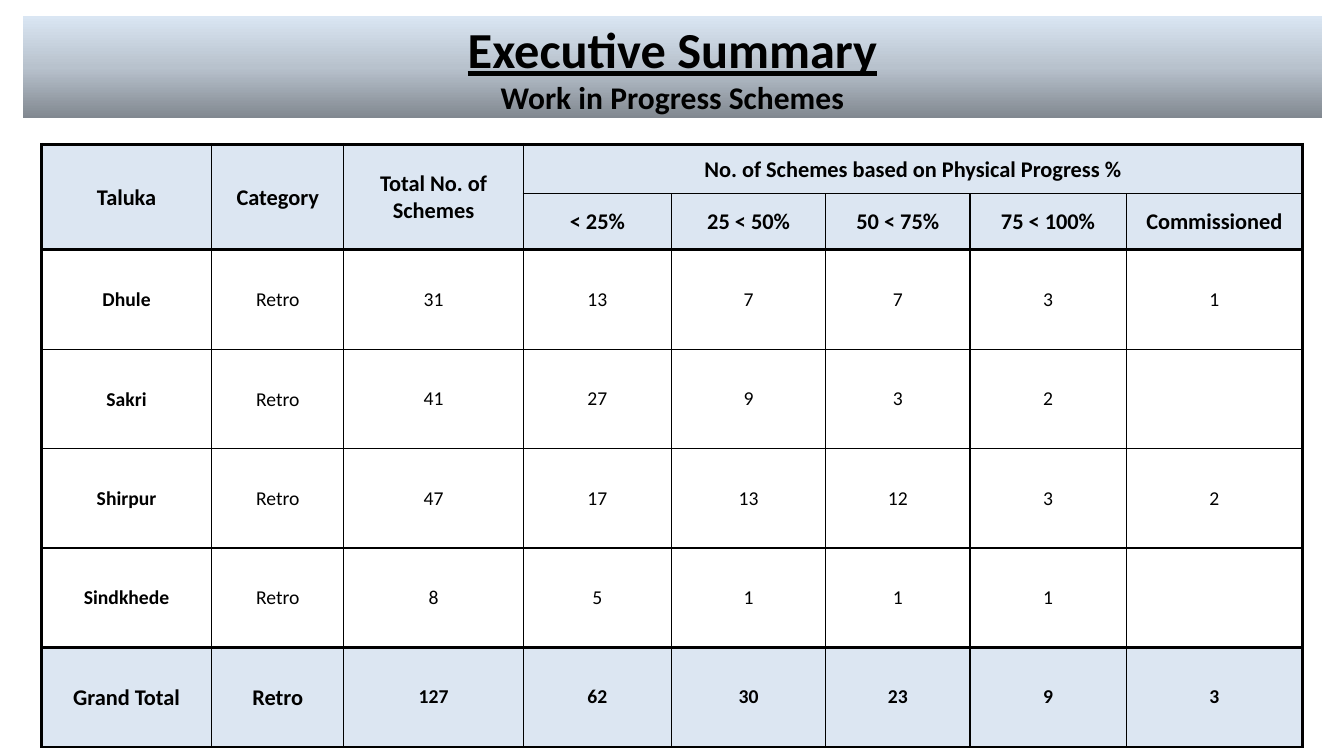
"""Build the executive summary slide on works in progress by taluka."""
from dataclasses import dataclass

from lxml import etree
from pptx import Presentation
from pptx.dml.color import RGBColor
from pptx.enum.shapes import MSO_SHAPE
from pptx.enum.text import MSO_ANCHOR, PP_ALIGN
from pptx.oxml.ns import qn
from pptx.util import Inches, Pt

RECT = MSO_SHAPE.RECTANGLE
MIDDLE = MSO_ANCHOR.MIDDLE
CENTER = PP_ALIGN.CENTER

WIDE, HIGH = Inches(13.33), Inches(7.5)
FONT = "Calibri"
HUES = {"ink": "000000", "head": "DCE6F2",
        "low": "818890", "mid": "B8C2CD", "top": "DAE6F3"}
STOPS = ((0, "low"), (50, "mid"), (100, "top"))

COLS = (1.69, 1.31, 1.78, 1.47, 1.53, 1.43, 1.55, 1.75)
ROWS = (1, 1, 2, 2, 2, 2, 2)
THICK_ROWS = (0, 2, 6, 7)
THICK_COLS = (0, 8)
THICK, THIN = 2.25, 1
DATA = (
    ("Taluka", "Category", "Total No. of Schemes",
     "No. of Schemes based on Physical Progress %", "", "", "", ""),
    ("", "", "", "< 25%", "25 < 50%", "50 < 75%", "75 < 100%", "Commissioned"),
    ("Dhule", "Retro", "31", "13", "7", "7", "3", "1"),
    ("Sakri", "Retro", "41", "27", "9", "3", "2", ""),
    ("Shirpur", "Retro", "47", "17", "13", "12", "3", "2"),
    ("Sindkhede", "Retro", "8", "5", "1", "1", "1", ""),
    ("Grand Total", "Retro", "127", "62", "30", "23", "9", "3"),
)


@dataclass(frozen=True)
class Box:
    left: float
    top: float
    width: float
    height: float

    def place(self) -> tuple:
        """Turn percentages of the slide into lengths."""
        return (int(WIDE * self.left / 100), int(HIGH * self.top / 100),
                int(WIDE * self.width / 100), int(HIGH * self.height / 100))


@dataclass(frozen=True)
class Look:
    size: float
    bold: bool = True
    line: bool = False


BANNER = Box(1.73, 2.13, 96.62, 13.47)
GRID = Box(3.08, 19.07, 93.85, 78.93)
TITLE = (Look(36, line=True), Look(22.5))


def style(font, look: Look) -> None:
    """Apply a look to a font."""
    font.name, font.size = FONT, Pt(look.size)
    font.bold, font.underline = look.bold, look.line
    font.color.rgb = RGBColor.from_string(HUES["ink"])


def add_banner(slide) -> None:
    """Draw the gradient banner with its two lines of text."""
    shape = slide.shapes.add_shape(RECT, *BANNER.place())
    shape.shadow.inherit = False
    shape.line.fill.background()
    shape.fill.gradient()
    shape.fill.gradient_angle = 90
    stops = next(shape.element.iter(qn("a:gsLst")))
    for old in list(stops):
        stops.remove(old)
    for spot, hue in STOPS:
        stop = etree.SubElement(stops, qn("a:gs"), pos=str(spot * 1000))
        etree.SubElement(stop, qn("a:srgbClr"), val=HUES[hue])
    frame = shape.text_frame
    frame.word_wrap = True
    frame.vertical_anchor = MIDDLE
    frame.text = "Executive Summary\vWork in Progress Schemes"
    para = frame.paragraphs[0]
    para.alignment = CENTER
    for run, look in zip(para.runs, TITLE):
        style(run.font, look)


def add_edges(cell, row: int, col: int) -> None:
    """Draw the four borders of a cell, thick on the main rules."""
    end_row = row + (cell.span_height if cell.is_merge_origin else 1)
    end_col = col + (cell.span_width if cell.is_merge_origin else 1)
    edges = (("L", col in THICK_COLS), ("R", end_col in THICK_COLS),
             ("T", row in THICK_ROWS), ("B", end_row in THICK_ROWS))
    props = next(cell._tc.iter(qn("a:tcPr")))
    for spot, (side, thick) in enumerate(edges):
        width = Pt(THICK if thick else THIN)
        line = etree.Element(qn(f"a:ln{side}"), w=str(int(width)))
        fill = etree.SubElement(line, qn("a:solidFill"))
        etree.SubElement(fill, qn("a:srgbClr"), val=HUES["ink"])
        props.insert(spot, line)


def fill_cell(cell, row: int, col: int) -> None:
    """Write and style one cell by its place in the table."""
    head, total = row < 2, row == len(ROWS) - 1
    big = head or (total and col < 2)
    look = Look(16 if big else 14, head or total or col == 0)
    tight = head or col < 2 or (col == len(COLS) - 1 and not total)
    side, over, under = (0.01, 0.01, 0) if tight else (0.03, 0.02, 0.02)
    cell.margin_left = cell.margin_right = Inches(side)
    cell.margin_top, cell.margin_bottom = Inches(over), Inches(under)
    cell.vertical_anchor = MIDDLE
    if head or total:
        cell.fill.solid()
        cell.fill.fore_color.rgb = RGBColor.from_string(HUES["head"])
    else:
        cell.fill.background()
    para = cell.text_frame.paragraphs[0]
    para.text = DATA[row][col]
    para.alignment = CENTER
    for run in para.runs:
        style(run.font, look)
    add_edges(cell, row, col)


def add_grid(slide) -> None:
    """Draw the progress table."""
    place = GRID.place()
    table = slide.shapes.add_table(len(ROWS), len(COLS), *place).table
    table.first_row = table.horz_banding = False
    for item, share in zip(table.columns, COLS):
        item.width = int(place[2] * share / sum(COLS))
    for item, share in zip(table.rows, ROWS):
        item.height = int(place[3] * share / sum(ROWS))
    for col in range(3):
        table.cell(0, col).merge(table.cell(1, col))
    table.cell(0, 3).merge(table.cell(0, len(COLS) - 1))
    for row in range(len(ROWS)):
        for col in range(len(COLS)):
            cell = table.cell(row, col)
            if not cell.is_spanned:
                fill_cell(cell, row, col)


def main() -> None:
    """Build and save the slide."""
    deck = Presentation()
    deck.slide_width, deck.slide_height = WIDE, HIGH
    slide = deck.slides.add_slide(deck.slide_layouts[6])
    add_banner(slide)
    add_grid(slide)
    deck.save("out.pptx")


if __name__ == "__main__":
    main()
